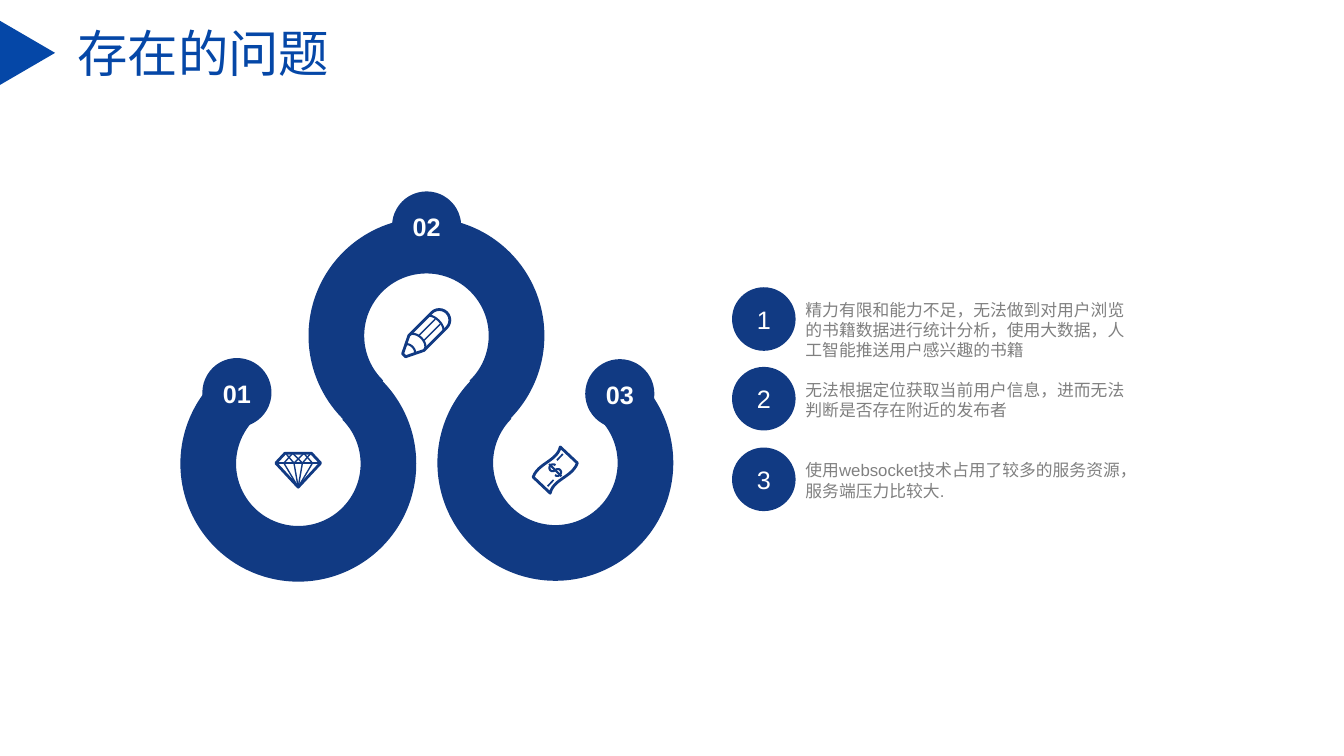
import math

import pptx
import pptx.dml.color
import pptx.enum.shapes
import pptx.enum.text
import pptx.util

Pt = pptx.util.Pt
Shapes = pptx.enum.shapes.MSO_SHAPE
Align = pptx.enum.text.PP_ALIGN
Anchor = pptx.enum.text.MSO_ANCHOR
NAVY, BLUE, GREY, WHITE = "113A83", "0547A7", "808080", "FFFFFF"


def paint(shape, color, line_width=0, filled=True):
    shape.shadow.inherit = False
    rgb = pptx.dml.color.RGBColor.from_string(color)
    if filled:
        shape.fill.solid()
        shape.fill.fore_color.rgb = rgb
    else:
        shape.fill.background()
    if line_width:
        shape.line.color.rgb = rgb
        shape.line.width = Pt(line_width)
    else:
        shape.line.fill.background()


def write(shape, text, size, color, font="Arial", bold=False,
          align=Align.LEFT, anchor=Anchor.TOP):
    frame = shape.text_frame
    frame.word_wrap = True
    frame.vertical_anchor = anchor
    paragraph = frame.paragraphs[0]
    paragraph.alignment = align
    run = paragraph.add_run()
    run.text = text
    run.font.size = Pt(size)
    run.font.name = font
    run.font.bold = bold
    run.font.color.rgb = pptx.dml.color.RGBColor.from_string(color)


presentation = pptx.Presentation()
presentation.slide_width = Pt(960)
presentation.slide_height = Pt(540)
slide = presentation.slides.add_slide(presentation.slide_layouts[6])
shapes = slide.shapes

# Winding ribbon: open rings, angles clockwise from the right, one degree of overlap
RING_SIZE = 168.5
for left, top, start, end in [
    (128.9, 247, 315, 225),
    (312.5, 246.4, 315, 225),
    (220.4, 155.6, 134, 46),
]:
    ring = shapes.add_shape(Shapes.BLOCK_ARC, Pt(left), Pt(top), Pt(RING_SIZE), Pt(RING_SIZE))
    ring.adjustments[0] = start * 0.6
    ring.adjustments[1] = end * 0.6
    ring.adjustments[2] = 0.236
    paint(ring, NAVY)

# Numbered knobs on the ribbon
KNOB_SIZE = 38.9
for label, left, top in [("01", 149.8, 261), ("02", 285.3, 142), ("03", 423.3, 261.8)]:
    knob = shapes.add_shape(Shapes.OVAL, Pt(left), Pt(top), Pt(KNOB_SIZE), Pt(KNOB_SIZE))
    paint(knob, NAVY, line_width=10.5)
    box = shapes.add_textbox(Pt(left - 4.3), Pt(top + 5.5), Pt(47.5), Pt(28.8))
    write(box, label, 18, WHITE, bold=True, align=Align.CENTER)

# Icons are strokes around their own centre, in points, before turning
half_circle = [(math.cos(math.radians(a)), math.sin(math.radians(a)))
               for a in range(-90, 91, 15)]

# Pencil lying flat with its tip to the left
half_width = 7.6
tip, cone, ferrule = -23, -10.5, 8.5
eraser = [(12.5 + half_width * c, half_width * s) for c, s in half_circle]
pencil_body = [(cone, -half_width)] + eraser + [
    (cone, half_width), (tip, 1.5), (tip, -1.5), (cone, -half_width)]
pencil_bands = [[(x + depth * c, height * s) for c, s in half_circle]
                for x, depth, height in [(cone, 5, half_width), (ferrule, 3.5, half_width),
                                         (-17, 2.5, 4.5)]]
pencil_stripes = [[(-6, y), (11, y)] for y in (-2.5, 2.5)]

# Diamond: each side mirrors the other
crown, girdle, point = -11.7, -4.7, 12.5
diamond_edge = [(-9.5, crown), (9.5, crown), (16, girdle), (0, point), (-16, girdle), (-9.5, crown)]
diamond_facets = [[(-16, girdle), (16, girdle)]]
for side in (-1, 1):
    for top_x, girdle_x in [(9, 3), (4, 10.2), (4, -3)]:
        diamond_facets.append([(side * top_x, crown), (side * girdle_x, girdle)])
    for girdle_x in (3, 10.2):
        diamond_facets.append([(side * girdle_x, girdle), (0, point)])

# Banknote: a cubic curve for one wavy edge, turned half round for the other
corners = [(-15.8, 5), (-12.2, -5), (1.4, -6.5), (3.6, -16.5)]
wave = []
for step in range(13):
    t = step / 12
    weights = [(1 - t) ** 3, 3 * t * (1 - t) ** 2, 3 * t * t * (1 - t), t ** 3]
    wave.append(tuple(sum(w * corner[axis] for w, corner in zip(weights, corners))
                      for axis in (0, 1)))
note_edge = wave + [(-x, -y) for x, y in wave] + wave[:1]
note_marks = [[(sign * 5.4, sign * -11.5), (sign * 1.2, sign * -7)] for sign in (1, -1)]

# Dollar sign: upper hook, the same hook turned half round, and a bar
hook = [(2.6 * math.cos(math.radians(a)), -2.4 - 2.4 * math.sin(math.radians(a)))
        for a in range(0, 271, 30)]
dollar = [hook + [(-x, -y) for x, y in reversed(hook)], [(0, -6.2), (0, 6.2)]]

PENCIL_AT, DIAMOND_AT, NOTE_AT = (304.9, 237.5), (213, 335.5), (396.6, 335.8)
for (center_x, center_y), turn, width, strokes in [
    (PENCIL_AT, -45, 2, [pencil_body]),
    (PENCIL_AT, -45, 1.5, pencil_bands),
    (PENCIL_AT, -45, 1, pencil_stripes),
    (DIAMOND_AT, 0, 2, [diamond_edge]),
    (DIAMOND_AT, 0, 1, diamond_facets),
    (NOTE_AT, 0, 2, [note_edge]),
    (NOTE_AT, 0, 1.2, note_marks),
    (NOTE_AT, -45, 1.5, dollar),
]:
    cos, sin = math.cos(math.radians(turn)), math.sin(math.radians(turn))
    builder = None
    for stroke in strokes:
        points = [(100 * (center_x + x * cos - y * sin), 100 * (center_y + x * sin + y * cos))
                  for x, y in stroke]
        if builder is None:
            builder = shapes.build_freeform(*points[0], scale=Pt(0.01))
        else:
            builder.move_to(*points[0])
        builder.add_line_segments(points[1:], close=False)
    paint(builder.convert_to_shape(), NAVY, line_width=width, filled=False)

# Numbered list of problems
CIRCLE_SIZE = 45.4
problems = [
    (205.2, "精力有限和能力不足，无法做到对用户浏览的书籍数据进行统计分析，使用大数据，人工智能推送用户感兴趣的书籍"),
    (262.1, "无法根据定位获取当前用户信息，进而无法判断是否存在附近的发布者"),
    (319.7, "使用websocket技术占用了较多的服务资源，服务端压力比较大."),
]
for number, (top, text) in enumerate(problems, 1):
    circle = shapes.add_shape(Shapes.OVAL, Pt(522.9), Pt(top), Pt(CIRCLE_SIZE), Pt(CIRCLE_SIZE))
    paint(circle, NAVY)
    write(circle, str(number), 18, WHITE, align=Align.CENTER, anchor=Anchor.MIDDLE)
    box = shapes.add_textbox(Pt(568.3), Pt(top + 5.4), Pt(247.7), Pt(51.1 if number == 1 else 62.6))
    write(box, text, 12, GREY)

# Heading with its arrow marker
marker = shapes.add_shape(Shapes.ISOSCELES_TRIANGLE, Pt(-3.5), Pt(18), Pt(46.1), Pt(39.6))
marker.rotation = 90
paint(marker, BLUE)
heading = shapes.add_textbox(Pt(48.2), Pt(12.2), Pt(399.6), Pt(51.1))
write(heading, "存在的问题", 36, BLUE, font="Arial Narrow")

presentation.save("out.pptx")
